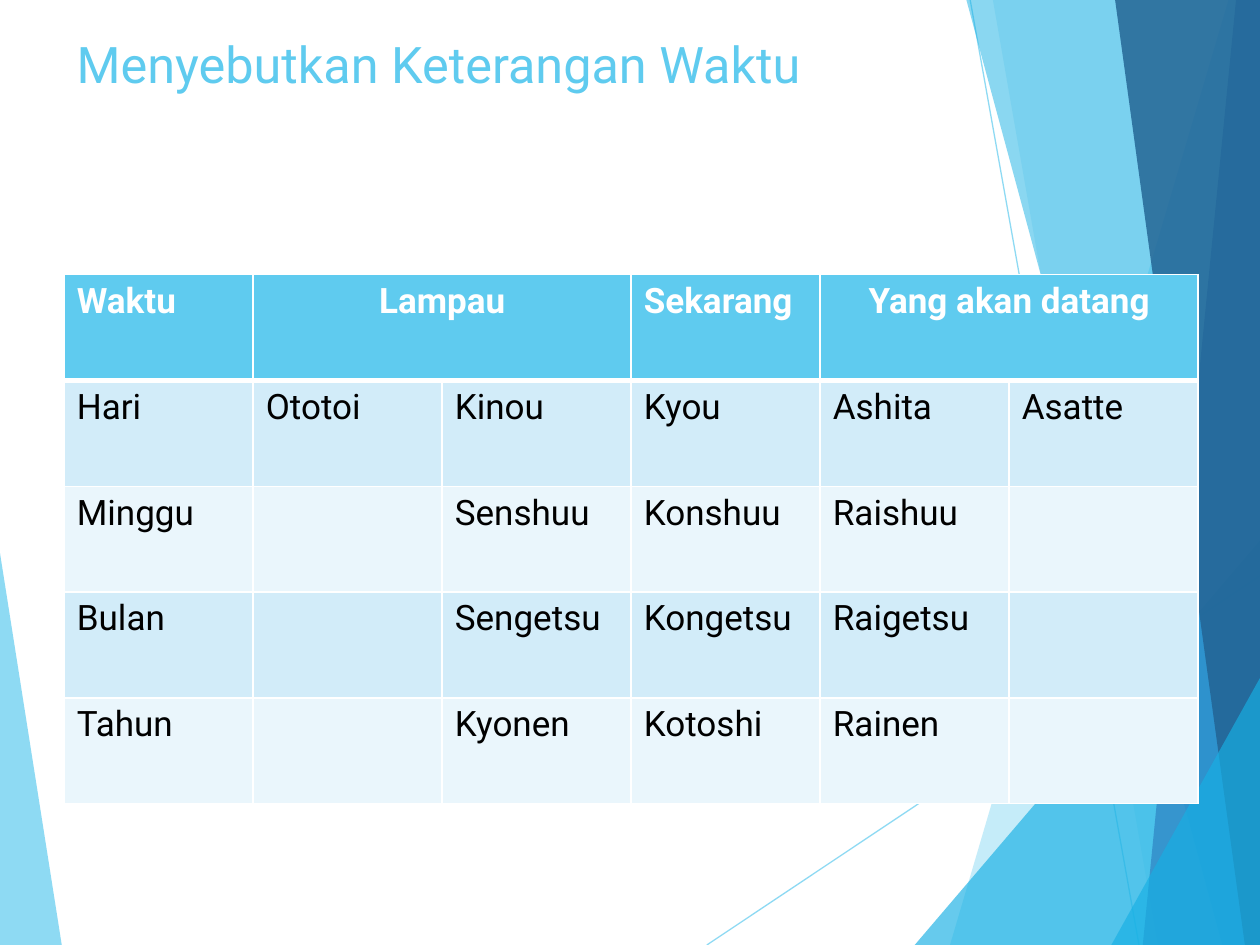
from pptx import Presentation
from pptx.dml.color import RGBColor
from pptx.enum.shapes import MSO_CONNECTOR
from pptx.enum.text import MSO_ANCHOR, PP_ALIGN
from pptx.oxml.ns import qn
from pptx.util import Inches, Pt
from lxml.etree import SubElement

SKY, CYAN, BLUE, NAVY = "5FCBEF", "17B0E4", "2E83C3", "226292"
WHITE, BLACK = "FFFFFF", "000000"
BANDS = ["D2ECF9", "EAF6FC"]

RAYS = [
    ((5.61, 7.5), (10, 4.57)),
    ((7.7, 0), (9.04, 7.5)),
]
WEDGE = ([(0, 4.39), (0.49, 7.5), (0, 7.5)], SKY, 70)
PANES = [
    ([(9.75, 0), (7.54, 7.5), (10, 7.5), (10, 0)], SKY, 36),
    ([(7.88, 0), (9.19, 7.5), (10, 7.5), (10, 0)], SKY, 20),
    ([(7.26, 7.5), (10, 4.29), (10, 7.5)], CYAN, 66),
    ([(7.67, 0), (9.7, 7.5), (10, 7.5), (10, 0)], CYAN, 50),
    ([(9.81, 0), (9.07, 7.5), (10, 7.5), (10, 0)], BLUE, 70),
    ([(8.85, 0), (9.88, 7.5), (10, 7.5), (10, 0)], NAVY, 82),
    ([(8.82, 7.5), (10, 5.38), (10, 7.5)], CYAN, 66),
]
ROWS = [
    ["Waktu", "Lampau", "", "Sekarang", "Yang akan datang", ""],
    ["Hari", "Ototoi", "Kinou", "Kyou", "Ashita", "Asatte"],
    ["Minggu", "", "Senshuu", "Konshuu", "Raishuu", ""],
    ["Bulan", "", "Sengetsu", "Kongetsu", "Raigetsu", ""],
    ["Tahun", "", "Kyonen", "Kotoshi", "Rainen", ""],
]
PAIRS = [1, 4]


def paint(code):
    return RGBColor.from_string(code)


def fade(shape, alpha):
    for tone in shape._element.spPr.iter(qn("a:srgbClr")):
        SubElement(tone, qn("a:alpha"), val=str(alpha * 1000))


def write(frame, text, size=20, color=BLACK, bold=False, align=PP_ALIGN.LEFT):
    para = frame.paragraphs[0]
    para.alignment = align
    para.font.size = Pt(size)
    if text:
        run = para.add_run()
        run.text = text
        font = run.font
        font.name, font.size, font.bold = "Roboto", Pt(size), bold
        font.color.rgb = paint(color)


def edge(cell, low):
    props = cell._tc.get_or_add_tcPr()
    for side, width in zip("LRTB", (1, 1, 1, low)):
        line = SubElement(props, qn(f"a:ln{side}"), w=str(Pt(width)))
        fill = SubElement(line, qn("a:solidFill"))
        SubElement(fill, qn("a:srgbClr"), val=WHITE)


class Deck:
    def __init__(self):
        self.show = Presentation()
        self.show.slide_width = Inches(10)
        self.show.slide_height = Inches(7.5)
        self.slide = self.show.slides.add_slide(self.show.slide_layouts[6])

    def pane(self, points, color, alpha):
        spots = [(Inches(x), Inches(y)) for x, y in points]
        form = self.slide.shapes.build_freeform(*spots[0])
        form.add_line_segments(spots[1:], close=True)
        shape = form.convert_to_shape()
        shape.shadow.inherit = False
        shape.fill.solid()
        shape.fill.fore_color.rgb = paint(color)
        shape.line.fill.background()
        fade(shape, alpha)

    def ray(self, start, end):
        ends = [Inches(n) for n in start + end]
        line = self.slide.shapes.add_connector(MSO_CONNECTOR.STRAIGHT, *ends)
        line.line.color.rgb = paint(SKY)
        line.line.width = Pt(0.75)
        SubElement(line._element.spPr, qn("a:effectLst"))
        fade(line, 70)

    def title(self, text, *box):
        frame = self.slide.shapes.add_textbox(*map(Inches, box)).text_frame
        frame.word_wrap = True
        frame.vertical_anchor = MSO_ANCHOR.TOP
        write(frame, text, size=28.8, color=SKY)

    def table(self, rows, pairs, *box):
        grid = self.slide.shapes.add_table(
            len(rows), len(rows[0]), *map(Inches, box)).table
        for r, row in enumerate(rows):
            head = r == 0
            for c, text in enumerate(row):
                cell = grid.cell(r, c)
                edge(cell, 3 if head else 1)
                cell.fill.solid()
                shade = SKY if head else BANDS[(r - 1) % 2]
                cell.fill.fore_color.rgb = paint(shade)
                mid = head and c in pairs
                write(cell.text_frame, text, bold=head,
                      color=WHITE if head else BLACK,
                      align=PP_ALIGN.CENTER if mid else PP_ALIGN.LEFT)
        for c in pairs:
            grid.cell(0, c).merge(grid.cell(0, c + 1))


def main():
    deck = Deck()
    deck.pane(*WEDGE)
    for ray in RAYS:
        deck.ray(*ray)
    for pane in PANES:
        deck.pane(*pane)
    deck.title("Menyebutkan Keterangan Waktu", 0.51, 0.21, 9, 1.02)
    deck.table(ROWS, PAIRS, 0.51, 2.18, 9, 4.2)
    deck.show.save("out.pptx")


if __name__ == "__main__":
    main()
